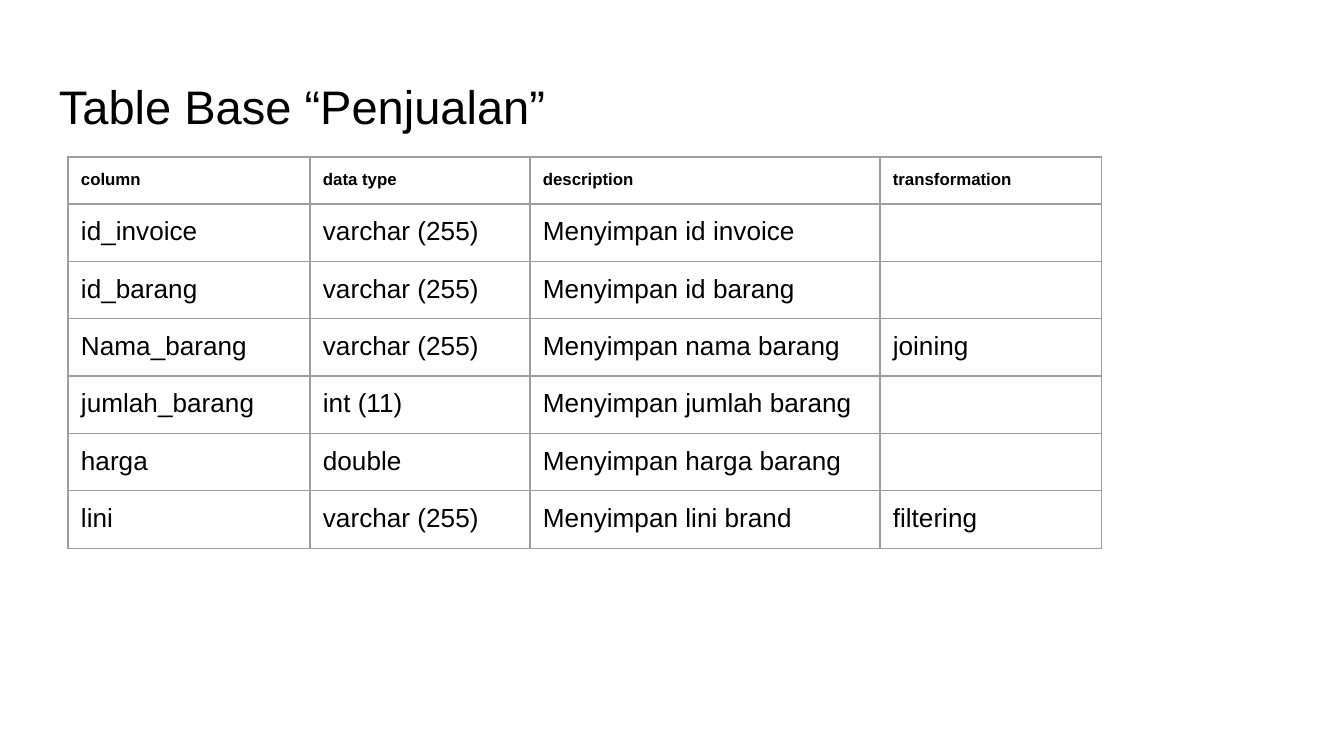
from lxml.etree import SubElement
from pptx import Presentation
from pptx.dml.color import RGBColor
from pptx.oxml.ns import qn
from pptx.util import Emu, Pt

TITLE = "Table Base “Penjualan”"
HEADER = ("column", "data type", "description", "transformation")
FIELDS = [
    ("id_invoice", "varchar (255)", "Menyimpan id invoice", ""),
    ("id_barang", "varchar (255)", "Menyimpan id barang", ""),
    ("Nama_barang", "varchar (255)", "Menyimpan nama barang", "joining"),
    ("jumlah_barang", "int (11)", "Menyimpan jumlah barang", ""),
    ("harga", "double", "Menyimpan harga barang", ""),
    ("lini", "varchar (255)", "Menyimpan lini brand", "filtering"),
]
COL_WIDTHS = (242, 220, 350, 222)
HEADER_H, FIELD_H = 47, 56
INSET = 13
TEXT, BORDER, WHITE = "000000", "9E9E9E", "FFFFFF"
TITLE_FONT = {"name": "Arial", "size": Pt(25.2)}
HEADER_FONT = {"name": "Arial", "size": Pt(9), "bold": True}
FIELD_FONT = {"name": "Arial", "size": Pt(14), "bold": False}
MARGINS = ("margin_left", "margin_top", "margin_right", "margin_bottom")


def px(n):
    return Emu(round(n * 914400 / 134.4))


def rgb(value):
    return RGBColor.from_string(value)


def set_margins(target):
    for name in MARGINS:
        setattr(target, name, px(INSET))


def write(p, text, font):
    """Add the text as one run; an empty paragraph only keeps the font size."""
    if not text:
        SubElement(p._p, qn("a:endParaRPr"), sz=str(font["size"].centipoints))
        return
    r = p.add_run()
    r.text = text
    for name, value in font.items():
        setattr(r.font, name, value)
    r.font.color.rgb = rgb(TEXT)


def add_borders(cell):
    """Draw all four cell edges; they must come before the fill in tcPr."""
    tc_pr = cell._tc.get_or_add_tcPr()
    for i, side in enumerate(("lnL", "lnR", "lnT", "lnB")):
        ln = SubElement(tc_pr, qn(f"a:{side}"), w=str(Pt(0.75)))
        fill = SubElement(ln, qn("a:solidFill"))
        SubElement(fill, qn("a:srgbClr"), val=BORDER)
        tc_pr.insert(i, ln)


def add_title(slide):
    tf = slide.shapes.add_textbox(px(46), px(60), px(1253), px(85)).text_frame
    tf.word_wrap = True
    set_margins(tf)
    tf.margin_top = px(18)
    write(tf.paragraphs[0], TITLE, TITLE_FONT)


def add_field_table(slide):
    rows = [HEADER, *FIELDS]
    heights = [HEADER_H] + [FIELD_H] * len(FIELDS)
    table = slide.shapes.add_table(
        len(rows), len(COL_WIDTHS), px(68), px(157),
        px(sum(COL_WIDTHS)), px(sum(heights))).table
    table.horz_banding = False
    for col, width in zip(table.columns, COL_WIDTHS):
        col.width = px(width)
    for i, (row, height) in enumerate(zip(rows, heights)):
        table.rows[i].height = px(height)
        for j, text in enumerate(row):
            cell = table.cell(i, j)
            set_margins(cell)
            cell.fill.solid()
            cell.fill.fore_color.rgb = rgb(WHITE)
            add_borders(cell)
            write(cell.text_frame.paragraphs[0], text,
                  FIELD_FONT if i else HEADER_FONT)


def main():
    prs = Presentation()
    prs.slide_width, prs.slide_height = px(1344), px(756)
    slide = prs.slides.add_slide(prs.slide_layouts[6])
    add_title(slide)
    add_field_table(slide)
    prs.save("out.pptx")


if __name__ == "__main__":
    main()
